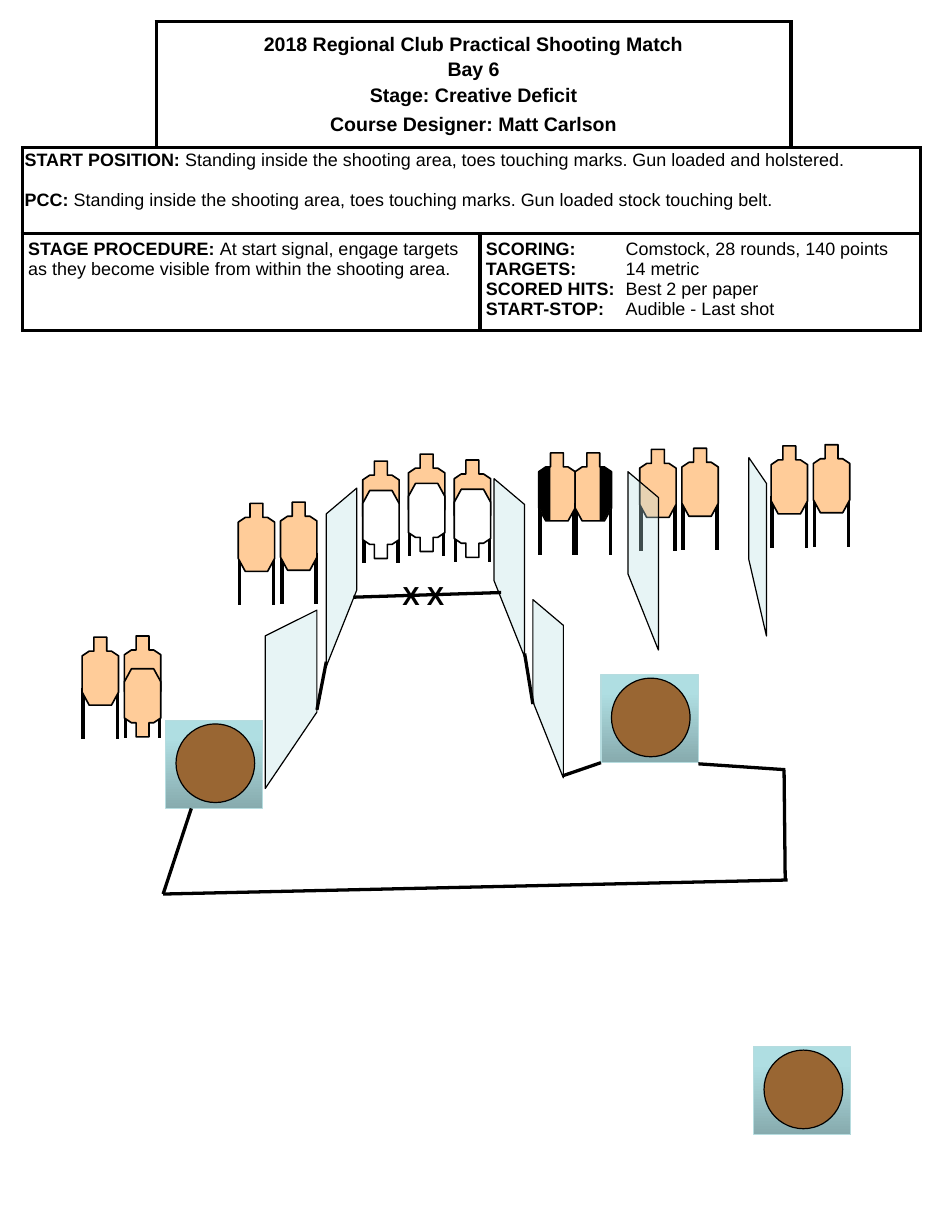
from lxml.etree import SubElement
from pptx import Presentation
from pptx.dml.color import RGBColor
from pptx.enum.shapes import MSO_CONNECTOR, MSO_SHAPE
from pptx.enum.text import MSO_ANCHOR, PP_ALIGN
from pptx.oxml.ns import qn
from pptx.util import Pt

PX = 9144  # EMU per px, 100 px to the inch
FONT = "Arial"
BLACK = RGBColor(0x00, 0x00, 0x00)
WHITE = RGBColor(0xFF, 0xFF, 0xFF)
TAN = RGBColor(0xFF, 0xCC, 0x99)
BROWN = RGBColor(0x99, 0x66, 0x33)
GLASS = RGBColor(0xBB, 0xE0, 0xE3)
RIM = RGBColor(0xB6, 0xDC, 0xDF)
SHADE = [(0, RGBColor(0x87, 0xAB, 0xAE)), (80, RGBColor(0xAF, 0xDE, 0xE2)),
         (100, RGBColor(0xAF, 0xE0, 0xE4))]

# Table content: a paragraph is (space before in pt, bold text, plain text)
TITLE = [(0, "2018 Regional Club Practical Shooting Match", ""),
         (2.4, "Bay 6", ""),
         (2.4, "Stage: Creative Deficit", ""),
         (4.2, "Course Designer: Matt Carlson", "")]
START = [(0, "START POSITION:", " Standing inside the shooting area, toes "
          "touching marks. Gun loaded and holstered."),
         (13.2, "PCC: ", "Standing inside the shooting area, toes touching "
          "marks. Gun loaded stock touching belt.")]
STAGE = [(0, "STAGE PROCEDURE: ", "At start signal, engage targets as they "
          "become visible from within the shooting area.")]
SCORE = [(0, "SCORING:", "\tComstock, 28 rounds, 140 points"),
         (0, "TARGETS:", "\t14 metric"),
         (0, "SCORED HITS:", "\tBest 2 per paper"),
         (0, "START-STOP:", "\tAudible - Last shot")]
COLS = [114, 276, 265, 110]
ROWS = [108, 73, 83]
EDGES = [["RB", "LRTB", "RTB", "LB"],
         ["LRTB", "TB", "TB", "RTB"],
         ["LRTB", "RTB", "LRTB", "RTB"]]
# row, first column, last column, paragraphs, size, side and top inset
CELLS = [(0, 1, 2, TITLE, 12, 5, 5), (1, 0, 3, START, 11, 2, 4),
         (2, 0, 1, STAGE, 11, 5, 5), (2, 2, 3, SCORE, 11, 5, 5)]

# Course content
BODY = [(10, 0), (21, 0), (21, 12), (25, 12), (31, 16), (31, 47),
        (25, 58), (6, 58), (0, 47), (0, 16), (6, 12), (10, 12)]
HARD = [(10, 12), (10, 57), (6, 57), (0, 46), (0, 16), (6, 12)]
FLIP = [(x, 58 - y) for x, y in BODY]
TURN = [(31 - x, y) for x, y in HARD]
# left, top, then an optional cover: outline, fill, drop, line width
TARGETS = [(545, 383), (581, 382), (203, 429), (239, 428), (70, 543),
           (657, 380), (693, 379),
           (459, 386, HARD, BLACK, 0, 0), (490, 386, TURN, BLACK, 0, 0),
           (348, 387, FLIP, WHITE, 25, 1), (309, 393, FLIP, WHITE, 25, 1),
           (387, 392, FLIP, WHITE, 25, 1), (106, 542, FLIP, TAN, 28, 1)]
BARRELS = [(141, 614), (512, 575), (642, 892)]
# far edge, top of far edge, run to near edge
WALLS = [(304, 416, -26), (421, 408, 26), (270, 520, -44),
         (454, 511, 26), (535, 402, 26), (638, 390, 15)]
LINES = [(270, 605, 278, 564), (454, 600, 447, 557), (512, 650, 480, 661),
         (669, 656, 595, 651), (163, 689, 139, 762), (671, 750, 139, 762),
         (668, 656, 669, 750), (427, 505, 301, 509)]

deck = Presentation()
deck.slide_width, deck.slide_height = 800 * PX, 1050 * PX
slide = deck.slides.add_slide(deck.slide_layouts[6])
shapes = slide.shapes


def paint(shape, fill, line, width):
    shape.shadow.inherit = False
    shape.fill.solid()
    shape.fill.fore_color.rgb = fill
    if width:
        shape.line.color.rgb = line
        shape.line.width = Pt(width)
    else:
        shape.line.fill.background()
    return shape


def outline(pts, fill, width):
    pen = shapes.build_freeform(*pts[0], scale=PX)
    pen.add_line_segments(pts[1:], close=True)
    return paint(pen.convert_to_shape(), fill, BLACK, width)


def preset(kind, x, y, w, h, fill, line):
    box = shapes.add_shape(kind, x * PX, y * PX, w * PX, h * PX)
    return paint(box, fill, line, 0.75)


def stroke(x1, y1, x2, y2, width):
    line = shapes.add_connector(MSO_CONNECTOR.STRAIGHT,
                                x1 * PX, y1 * PX, x2 * PX, y2 * PX)
    line.line.color.rgb = BLACK
    line.line.width = Pt(width)
    SubElement(line._element.spPr, qn("a:effectLst"))
    return line


def shift(pts, x, y):
    return [(x + dx, y + dy) for dx, dy in pts]


def write(par, text, size, bold):
    run = par.add_run()
    run.text = text
    run.font.name, run.font.size, run.font.bold = FONT, Pt(size), bold
    run.font.color.rgb = BLACK


# Stage description table
frame = shapes.add_table(3, 4, 19 * PX, 18 * PX, sum(COLS) * PX, sum(ROWS) * PX)
table = frame.table
table.first_row = table.horz_banding = False
for col, wide in zip(table.columns, COLS):
    col.width = wide * PX
for row, high in zip(table.rows, ROWS):
    row.height = high * PX
for r, sides in enumerate(EDGES):
    for c, side in enumerate(sides):
        cell = table.cell(r, c)
        props = cell._tc.get_or_add_tcPr()
        for key in side:
            edge = SubElement(props, qn("a:ln" + key), w=str(Pt(2.25)))
            ink = SubElement(edge, qn("a:solidFill"))
            SubElement(ink, qn("a:srgbClr"), val=str(BLACK))
        cell.fill.solid()
        cell.fill.fore_color.rgb = WHITE

for r, first, last, pars, size, side, top in CELLS:
    cell = table.cell(r, first)
    cell.merge(table.cell(r, last))
    cell.margin_left = cell.margin_right = side * PX
    cell.margin_top = cell.margin_bottom = top * PX
    if pars is TITLE:
        cell.vertical_anchor = MSO_ANCHOR.MIDDLE
    for i, (gap, head, tail) in enumerate(pars):
        par = cell.text_frame.paragraphs[0] if i == 0 else cell.text_frame.add_paragraph()
        if tail.startswith("\t"):
            tabs = SubElement(par._p.get_or_add_pPr(), qn("a:tabLst"))
            SubElement(tabs, qn("a:tab"), pos=str(119 * PX), algn="l")
        if pars is TITLE:
            par.alignment = PP_ALIGN.CENTER
        if pars is START:
            par.line_spacing = 0.9
        par.space_before = Pt(gap)
        write(par, head, size, True)
        if tail:
            write(par, tail, size, False)

# Barrels
for x, y in BARRELS:
    base = preset(MSO_SHAPE.RECTANGLE, x, y, 83, 75, WHITE, RIM)
    base.fill.gradient()
    base.fill.gradient_angle = 90
    stops = base._element.spPr.find(qn("a:gradFill")).find(qn("a:gsLst"))
    for stop in list(stops):
        stops.remove(stop)
    for at, tone in SHADE:
        stop = SubElement(stops, qn("a:gs"), pos=str(at * 1000))
        SubElement(stop, qn("a:srgbClr"), val=str(tone))
    drum = preset(MSO_SHAPE.OVAL, x + 9, y + 3, 67, 67, BROWN, BLACK)
    shapes.add_group_shape([base, drum])

# Targets on two legs
for x, y, *cover in TARGETS:
    parts = [stroke(x + dx, y + 43, x + dx, y + 87, 2.25) for dx in (1, 30)]
    parts.append(outline(shift(BODY, x, y), TAN, 1))
    if cover:
        pts, fill, drop, width = cover
        parts.append(outline(shift(pts, x, y + drop), fill, width))
    shapes.add_group_shape(parts)

# See-through walls
for x, y, run in WALLS:
    wall = outline([(x, y + 87), (x + run, y + 152), (x + run, y + 22), (x, y)],
                   GLASS, 0.75)
    tone = wall._element.spPr.find(qn("a:solidFill"))[0]
    SubElement(tone, qn("a:alpha"), val="34000")

# Shooting area and start marks
for ends in LINES:
    stroke(*ends, 2)
marks = shapes.add_textbox(333 * PX, 489 * PX, 58 * PX, 37 * PX).text_frame
write(marks.paragraphs[0], "X X", 16, True)

deck.save("out.pptx")
